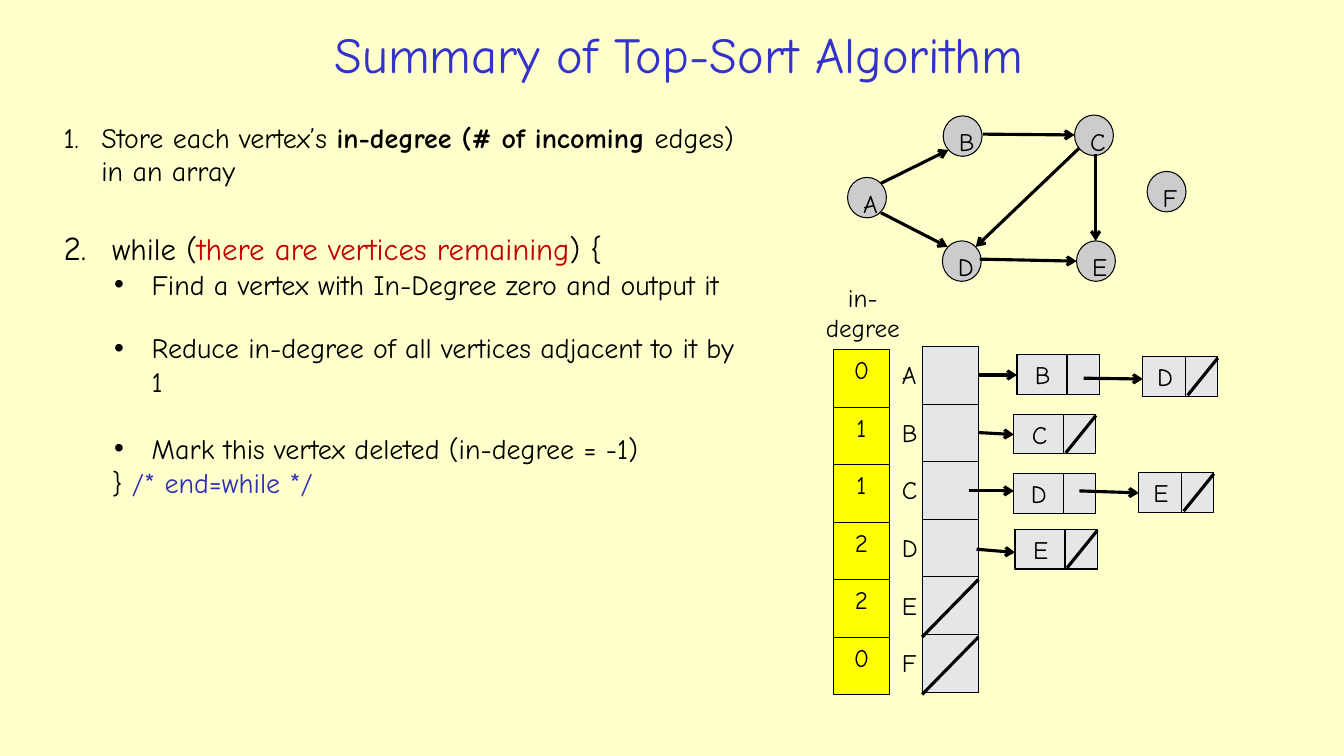
from pptx import Presentation
from pptx.dml.color import RGBColor
from pptx.enum.shapes import MSO_CONNECTOR, MSO_SHAPE
from pptx.enum.text import MSO_ANCHOR, MSO_AUTO_SIZE, PP_ALIGN
from pptx.oxml.ns import qn
from pptx.oxml.xmlchemy import OxmlElement
from pptx.util import Cm, Pt

FONT = "Comic Neue"
COLORS = {
    "background": "FFFFCC",
    "title": "3333CC",
    "text": "000000",
    "condition": "C00000",
    "comment": "2D2DB9",
    "vertex": "CCCCCC",
    "cell": "E6E6E6",
    "count": "FFFF00",
}
ROW_HEIGHT = 1.45
CELL_WIDTH = 1.42
ARRAY_LEFT, ARRAY_TOP = 23.24, 8.74
COUNT_LEFT, COUNT_TOP = 21.0, 8.81
LABEL_LEFT, LABEL_TOP = 22.48, 8.94
POINTER_WIDTH, NODE_HEIGHT = 0.81, 1.0

VERTICES = [
    ("A", 21.36, 4.47),
    ("B", 23.77, 2.92),
    ("C", 27.08, 2.9),
    ("D", 23.75, 6.07),
    ("E", 27.13, 6.07),
    ("F", 28.91, 4.32),
]
EDGES = [
    (22.2, 4.62, 23.9, 3.78),
    (24.77, 3.38, 27.08, 3.4),
    (27.61, 3.89, 27.61, 6.07),
    (22.2, 5.36, 23.88, 6.22),
    (24.69, 6.53, 27.13, 6.58),
    (27.2, 3.73, 24.59, 6.22),
]
IN_DEGREES = [("A", 0), ("B", 1), ("C", 1), ("D", 2), ("E", 2), ("F", 0)]
EMPTY_ROWS = (4, 5)
LIST_NODES = [
    ("B", 25.63, 8.94, 1.3, False),
    ("D", 28.8, 8.99, 1.12, True),
    ("C", 25.55, 10.44, 1.3, True),
    ("D", 25.53, 11.94, 1.3, False),
    ("E", 28.7, 11.91, 1.12, True),
    ("E", 25.58, 13.34, 1.3, True),
]
LIST_ARROWS = [
    (24.66, 9.45, 25.63, 9.45),
    (27.31, 9.53, 28.8, 9.55),
    (24.66, 10.9, 25.55, 10.95),
    (24.41, 12.37, 25.55, 12.37),
    (27.2, 12.37, 28.7, 12.42),
    (24.61, 13.84, 25.58, 13.92),
]


def color(name):
    return RGBColor.from_string(COLORS[name])


def add_text(paragraph, text, size=18, bold=False, ink="text"):
    run = paragraph.add_run()
    run.text = text
    run.font.name = FONT
    run.font.size = Pt(size)
    run.font.bold = bold
    run.font.color.rgb = color(ink)


def place(shape, left, top, width, height):
    shape.left, shape.top = Cm(left), Cm(top)
    shape.width, shape.height = Cm(width), Cm(height)


def add_box(slide, left, top, width, height, fill, text="", kind=MSO_SHAPE.RECTANGLE):
    shape = slide.shapes.add_shape(kind, Cm(left), Cm(top), Cm(width), Cm(height))
    shape.shadow.inherit = False
    shape.fill.solid()
    shape.fill.fore_color.rgb = color(fill)
    shape.line.color.rgb = color("text")
    shape.line.width = Pt(0.75)
    if text:
        shape.text_frame.vertical_anchor = MSO_ANCHOR.TOP
        paragraph = shape.text_frame.paragraphs[0]
        paragraph.alignment = PP_ALIGN.CENTER
        add_text(paragraph, text)


def add_line(slide, start_x, start_y, end_x, end_y, arrow=False):
    connector = slide.shapes.add_connector(
        MSO_CONNECTOR.STRAIGHT, Cm(start_x), Cm(start_y), Cm(end_x), Cm(end_y)
    )
    connector.line.color.rgb = color("text")
    connector.line.width = Pt(2.25)
    properties = connector._element.spPr
    properties.append(OxmlElement("a:effectLst"))
    if arrow:
        tail = OxmlElement("a:tailEnd")
        tail.set("type", "arrow")
        properties.find(qn("a:ln")).append(tail)


def add_label(slide, left, top, width, height, lines, alignment=PP_ALIGN.LEFT):
    box = slide.shapes.add_textbox(Cm(left), Cm(top), Cm(width), Cm(height))
    frame = box.text_frame
    frame.word_wrap = False
    for index, line in enumerate(lines):
        paragraph = frame.add_paragraph() if index else frame.paragraphs[0]
        paragraph.alignment = alignment
        add_text(paragraph, line)


def add_bullet(properties, tag, **attributes):
    element = OxmlElement(tag)
    for key, value in attributes.items():
        element.set(key, value)
    properties.append(element)


def add_step(frame, runs, margin, hanging=0, number=0, bullet=False, before=0, scale=100):
    first = not frame.paragraphs[0].runs
    paragraph = frame.paragraphs[0] if first else frame.add_paragraph()
    paragraph.level = 1 if bullet else 0
    properties = paragraph._p.get_or_add_pPr()
    properties.set("marL", str(Cm(margin)))
    properties.set("indent", str(-Cm(hanging)))
    if number:
        add_bullet(properties, "a:buSzPct", val=str(scale * 1000))
        add_bullet(properties, "a:buFont", typeface=FONT)
        add_bullet(properties, "a:buAutoNum", type="arabicPeriod", startAt=str(number))
    elif bullet:
        add_bullet(properties, "a:buFont", typeface="Arial")
        add_bullet(properties, "a:buChar", char="•")
    else:
        add_bullet(properties, "a:buNone")
    paragraph.alignment = PP_ALIGN.LEFT
    paragraph.space_before = Pt(before)
    for text, style in runs:
        add_text(paragraph, text, **{"size": 20, **style})


def add_title(slide):
    title = slide.shapes.title
    place(title, 5.0, 0.38, 24.23, 1.93)
    title.text_frame.vertical_anchor = MSO_ANCHOR.MIDDLE
    paragraph = title.text_frame.paragraphs[0]
    paragraph.alignment = PP_ALIGN.CENTER
    add_text(paragraph, "Summary of Top-Sort Algorithm", size=36, ink="title")


def add_steps(slide):
    body = slide.placeholders[1]
    place(body, 1.35, 2.9, 17.68, 15.24)
    frame = body.text_frame
    frame.auto_size = MSO_AUTO_SIZE.NONE
    frame.vertical_anchor = MSO_ANCHOR.TOP
    add_step(frame, [
        ("Store each vertex’s ", {}),
        ("in-degree (# of incoming ", {"bold": True}),
        ("edges) in an array", {}),
    ], margin=0.95, hanging=0.95, number=1)
    add_step(frame, [
        ("while (", {"size": 22}),
        ("there are vertices remaining", {"size": 22, "ink": "condition"}),
        (") {", {"size": 22}),
    ], margin=1.22, hanging=1.22, number=2, before=30.5, scale=109)
    for text, before in [
        ("Find a vertex with In-Degree zero and output it", 0),
        ("Reduce in-degree of all vertices adjacent to it by 1", 21.5),
        ("Mark this vertex deleted (in-degree = -1)", 24),
    ]:
        add_step(frame, [(text, {})], margin=2.22, hanging=0.95, bullet=True, before=before)
    add_step(frame, [("} ", {}), ("/* end=while */", {"ink": "comment"})], margin=1.22)


def add_graph(slide):
    for letter, left, top in VERTICES:
        add_box(slide, left, top, 0.98, 1.02, "vertex", letter, MSO_SHAPE.OVAL)
    for edge in EDGES:
        add_line(slide, *edge, arrow=True)


def add_list_node(slide, letter, left, top, width, last):
    pointer_left = left + width - 0.04
    add_box(slide, left, top, width, NODE_HEIGHT, "cell", letter)
    add_box(slide, pointer_left, top, POINTER_WIDTH, NODE_HEIGHT, "cell")
    if last:
        add_line(slide, pointer_left + POINTER_WIDTH, top + 0.03,
                 pointer_left + 0.05, top + NODE_HEIGHT - 0.03)


def add_adjacency_lists(slide):
    add_label(slide, 20.45, 6.99, 2.59, 1.8, ["in-", "degree"], PP_ALIGN.CENTER)
    for row, (letter, degree) in enumerate(IN_DEGREES):
        offset = row * ROW_HEIGHT
        add_box(slide, COUNT_LEFT, COUNT_TOP + offset, CELL_WIDTH, ROW_HEIGHT, "count", str(degree))
        add_box(slide, ARRAY_LEFT, ARRAY_TOP + offset, CELL_WIDTH, ROW_HEIGHT, "cell")
        add_label(slide, LABEL_LEFT, LABEL_TOP + offset, 0.95, 1.02, [letter])
    for row in EMPTY_ROWS:
        top = ARRAY_TOP + row * ROW_HEIGHT + 0.06
        add_line(slide, ARRAY_LEFT + CELL_WIDTH, top, ARRAY_LEFT, top + ROW_HEIGHT)
    for node in LIST_NODES:
        add_list_node(slide, *node)
    for arrow in LIST_ARROWS:
        add_line(slide, *arrow, arrow=True)


def main():
    presentation = Presentation()
    presentation.slide_width, presentation.slide_height = Cm(33.87), Cm(19.05)
    slide = presentation.slides.add_slide(presentation.slide_layouts[1])
    slide.background.fill.solid()
    slide.background.fill.fore_color.rgb = color("background")
    add_title(slide)
    add_steps(slide)
    add_graph(slide)
    add_adjacency_lists(slide)
    presentation.save("out.pptx")


if __name__ == "__main__":
    main()
